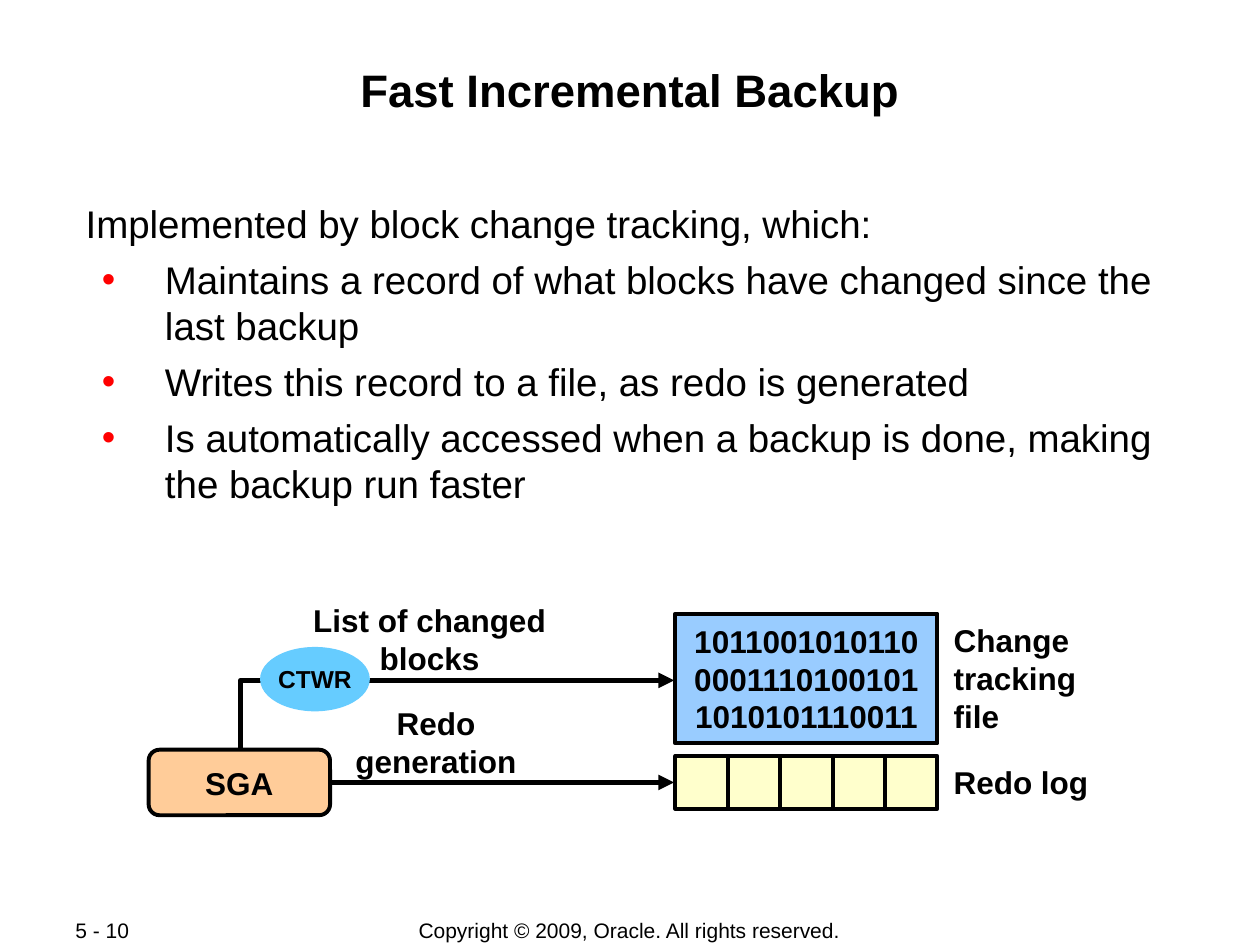
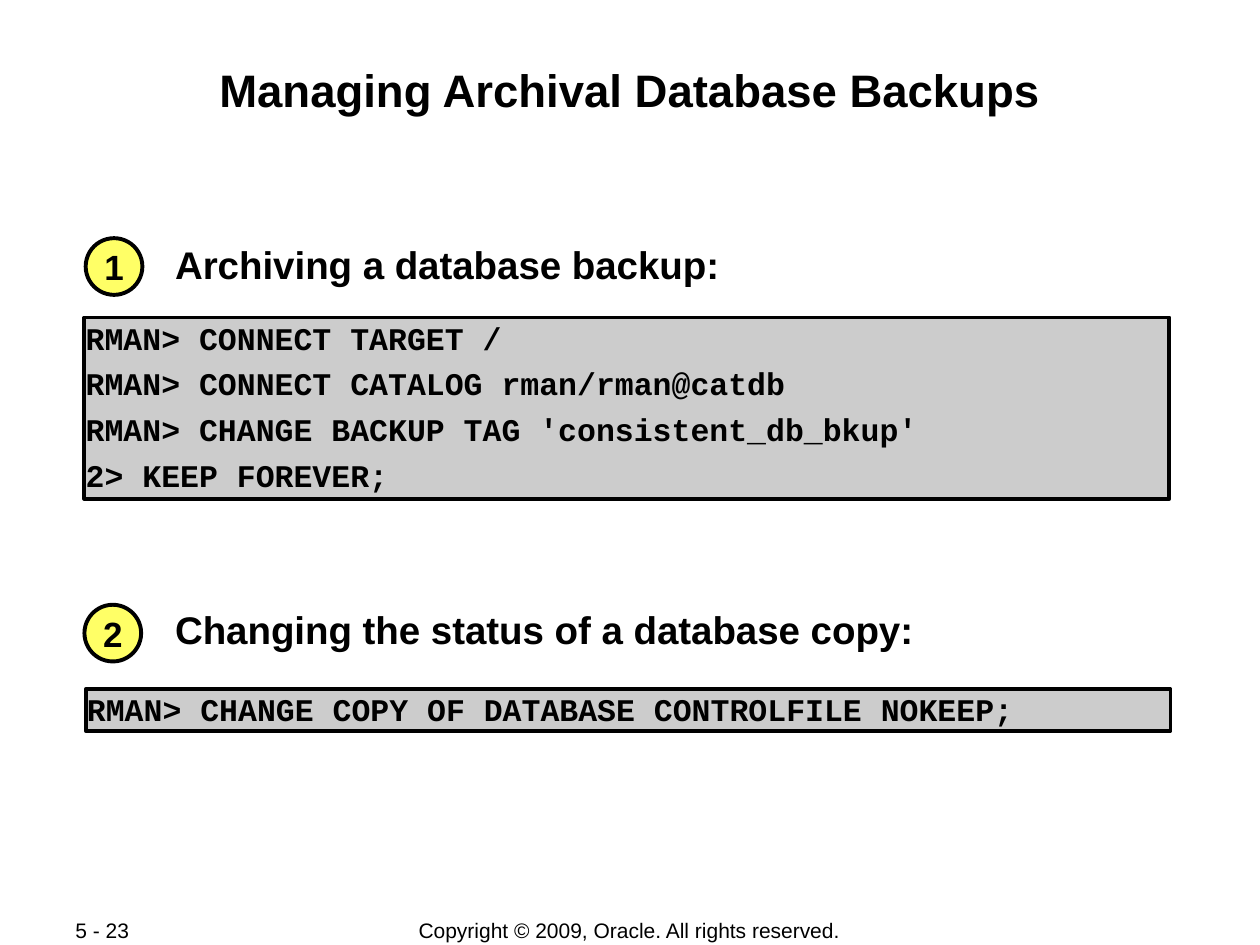
from dataclasses import dataclass

import pptx
import pptx.dml.color
import pptx.enum.shapes
import pptx.enum.text
import pptx.oxml
import pptx.oxml.ns
import pptx.util
from lxml import etree

COLUMNS, ROWS = 100, 75
WIDTH, HEIGHT = pptx.util.Inches(10), pptx.util.Inches(7.5)

BLACK, RED = "000000", "FF0000"
CREAM, YELLOW, PEACH = "FFFFCC", "FFFF66", "FFCC99"
SKY, PALE_BLUE, GREY = "66CCFF", "99CCFF", "CCCCCC"
SANS, MONO = "Arial", "Courier New"
COPYRIGHT = "Copyright © 2009, Oracle. All rights reserved."

TIGHT = (0.01, 0.01)
NORMAL = (0.1, 0.05)
SNUG = (0.05, 0.05)
OUTLINE, ARROW = 2.25, 3

ALIGN = pptx.enum.text.PP_ALIGN
ANCHOR = pptx.enum.text.MSO_ANCHOR
SHAPE = pptx.enum.shapes.MSO_SHAPE


@dataclass(frozen=True)
class Box:
    """A place on the grid of COLUMNS by ROWS."""
    column: float
    row: float
    columns: float
    rows: float

    def lengths(self) -> tuple:
        return (across(self.column), down(self.row),
                across(self.columns), down(self.rows))


@dataclass(frozen=True)
class Block:
    """A filled shape with the text inside it."""
    kind: SHAPE
    box: Box
    fill: str
    lines: tuple = ()
    size: float = 18
    line: str = BLACK
    insets: tuple = NORMAL


@dataclass(frozen=True)
class Label:
    box: Box
    lines: tuple
    align: ALIGN = ALIGN.LEFT
    wrap: bool = False


@dataclass(frozen=True)
class Step:
    """A numbered heading with its commands below."""
    number: str
    circle: Box
    heading: str
    heading_box: Box
    code_box: Box
    code: tuple


def across(columns: float) -> int:
    return round(WIDTH * columns / COLUMNS)


def down(rows: float) -> int:
    return round(HEIGHT * rows / ROWS)


def colour(code: str) -> pptx.dml.color.RGBColor:
    return pptx.dml.color.RGBColor.from_string(code)


def add_bullet(paragraph) -> None:
    properties = paragraph._p.get_or_add_pPr()
    properties.set("marL", str(pptx.util.Inches(0.63)))
    properties.set("indent", str(pptx.util.Inches(-0.5)))
    qn = pptx.oxml.ns.qn
    bullet_colour = etree.SubElement(properties, qn("a:buClr"))
    etree.SubElement(bullet_colour, qn("a:srgbClr"), val=RED)
    etree.SubElement(properties, qn("a:buFont"), typeface=SANS)
    etree.SubElement(properties, qn("a:buChar"), char="•")


def write_text(shape, lines: tuple, *, size: float = 18, font: str = SANS,
               bold: bool = True, align: ALIGN = ALIGN.LEFT,
               anchor: ANCHOR = ANCHOR.TOP, insets: tuple = NORMAL,
               wrap: bool = True, gap: float = 0, bullets_from: int = 99) -> None:
    """Write one paragraph a line; lines from bullets_from on get bullets."""
    frame = shape.text_frame
    frame.auto_size = pptx.enum.text.MSO_AUTO_SIZE.NONE
    frame.word_wrap = wrap
    frame.vertical_anchor = anchor
    frame.margin_left = frame.margin_right = pptx.util.Inches(insets[0])
    frame.margin_top = frame.margin_bottom = pptx.util.Inches(insets[1])
    for index, line in enumerate(lines):
        paragraph = frame.add_paragraph() if index else frame.paragraphs[0]
        if index >= bullets_from:
            add_bullet(paragraph)
        paragraph.alignment = align
        paragraph.space_before = pptx.util.Pt(gap if index else 0)
        run = paragraph.add_run()
        run.text = line
        run.font.name = font
        run.font.size = pptx.util.Pt(size)
        run.font.bold = bold
        run.font.color.rgb = colour(BLACK)


def add_text(slide, box: Box, lines: tuple, **text_format) -> None:
    write_text(slide.shapes.add_textbox(*box.lengths()), lines, **text_format)


def set_line(shape, code: str, width: float, arrow: bool = False) -> None:
    shape.line.color.rgb = colour(code)
    shape.line.width = pptx.util.Pt(width)
    if arrow:
        etree.SubElement(shape.line._get_or_add_ln(),
                         pptx.oxml.ns.qn("a:tailEnd"), type="triangle")


def add_block(slide, block: Block, **text_format) -> None:
    shape = slide.shapes.add_shape(block.kind, *block.box.lengths())
    shape.shadow.inherit = False
    shape.fill.solid()
    shape.fill.fore_color.rgb = colour(block.fill)
    set_line(shape, block.line, OUTLINE)
    centred = dict(align=ALIGN.CENTER, anchor=ANCHOR.MIDDLE, wrap=False)
    write_text(shape, block.lines, size=block.size, insets=block.insets,
               **{**centred, **text_format})


def add_straight_line(slide, start: tuple, end: tuple, width: float,
                      arrow: bool = False) -> None:
    connector = slide.shapes.add_connector(
        pptx.enum.shapes.MSO_CONNECTOR.STRAIGHT,
        across(start[0]), down(start[1]), across(end[0]), down(end[1]))
    set_line(connector, BLACK, width, arrow)
    etree.SubElement(connector._element.spPr, pptx.oxml.ns.qn("a:effectLst"))


def add_bent_arrow(slide, points: list) -> None:
    places = [(across(column), down(row)) for column, row in points]
    builder = slide.shapes.build_freeform(*places[0])
    builder.add_line_segments(places[1:], close=False)
    shape = builder.convert_to_shape()
    shape.shadow.inherit = False
    shape.fill.background()
    set_line(shape, BLACK, ARROW, arrow=True)


def add_divided_box(slide, box: Box, cells: int) -> None:
    add_block(slide, Block(SHAPE.RECTANGLE, box, CREAM))
    for index in range(1, cells):
        column = box.column + box.columns * index / cells
        add_straight_line(slide, (column, box.row),
                          (column, box.row + box.rows), OUTLINE)


def add_titled_slide(presentation, title: str, page: str):
    slide = presentation.slides.add_slide(presentation.slide_layouts[5])
    placeholder = slide.shapes.title
    (placeholder.left, placeholder.top,
     placeholder.width, placeholder.height) = Box(6.7, 4.8, 86.6, 9.6).lengths()
    write_text(placeholder, (title,), size=26, align=ALIGN.CENTER, insets=TIGHT)
    footer = dict(size=12, bold=False, anchor=ANCHOR.MIDDLE)
    add_text(slide, Box(27.5, 72.8, 44.9, 2.1), (COPYRIGHT,),
             align=ALIGN.CENTER, **footer)
    add_text(slide, Box(5, 72.8, 10.6, 2), (page,), **footer)
    return slide


def build_incremental_backup(presentation) -> None:
    slide = add_titled_slide(presentation, "Fast Incremental Backup", "5 - 10")
    add_text(slide, Box(6.7, 15.8, 86.6, 24.6), (
        "Implemented by block change tracking, which:",
        "Maintains a record of what blocks have changed since the last backup",
        "Writes this record to a file, as redo is generated",
        "Is automatically accessed when a backup is done, making the backup run faster",
    ), size=22, bold=False, insets=TIGHT, gap=5.5, bullets_from=1)

    add_bent_arrow(slide, [(19.1, 62), (19.1, 54), (53.5, 54)])
    add_straight_line(slide, (26.1, 62.1), (53.5, 62.1), ARROW, arrow=True)
    add_divided_box(slide, Box(53.6, 60, 20.8, 4.2), 5)
    blocks = (
        Block(SHAPE.RECTANGLE, Box(53.6, 48.7, 20.8, 10.3), PALE_BLUE,
              ("1011001010110", "0001110100101", "1010101110011")),
        Block(SHAPE.ROUNDED_RECTANGLE, Box(11.8, 59.5, 14.4, 5.2), PEACH, ("SGA",)),
        Block(SHAPE.OVAL, Box(20.8, 51.5, 8.4, 4.8), SKY, ("CTWR",), 14, SKY),
    )
    for block in blocks:
        add_block(slide, block)
    labels = (
        Label(Box(21.3, 47.2, 25.6, 7), ("List of changed blocks",), ALIGN.CENTER, True),
        Label(Box(27.2, 55.4, 14.8, 7), ("Redo", "generation"), ALIGN.CENTER),
        Label(Box(74.7, 48.8, 11.8, 10), ("Change", "tracking", "file")),
        Label(Box(74.7, 60.1, 12.7, 4), ("Redo log",)),
    )
    for label in labels:
        add_text(slide, label.box, label.lines, align=label.align, wrap=label.wrap)


def build_archival_backups(presentation) -> None:
    slide = add_titled_slide(presentation, "Managing Archival Database Backups", "5 - 23")
    steps = (
        Step("1", Box(6.8, 18.9, 4.5, 4.5),
             "Archiving a database backup:", Box(13.8, 19, 70.4, 3.9),
             Box(6.7, 25.2, 86.1, 14.4),
             ("RMAN> CONNECT TARGET /",
              "RMAN> CONNECT CATALOG rman/rman@catdb",
              "RMAN> CHANGE BACKUP TAG 'consistent_db_bkup'",
              "2> KEEP FOREVER;")),
        Step("2", Box(6.7, 48, 4.5, 4.5),
             "Changing the status of a database copy:", Box(13.8, 48, 67, 3.9),
             Box(6.8, 54.7, 86.1, 3.3),
             ("RMAN> CHANGE COPY OF DATABASE CONTROLFILE NOKEEP;",)),
    )
    for step in steps:
        add_block(slide, Block(SHAPE.OVAL, step.circle, YELLOW, (step.number,),
                               20, insets=SNUG))
        add_text(slide, step.heading_box, (step.heading,), size=22, insets=TIGHT)
        add_block(slide, Block(SHAPE.RECTANGLE, step.code_box, GREY, step.code,
                               insets=TIGHT),
                  font=MONO, align=ALIGN.LEFT, anchor=ANCHOR.TOP, wrap=True, gap=4.5)


def main() -> None:
    presentation = pptx.Presentation()
    presentation.slide_width, presentation.slide_height = WIDTH, HEIGHT
    build_incremental_backup(presentation)
    build_archival_backups(presentation)
    presentation.save("out.pptx")


if __name__ == "__main__":
    main()
